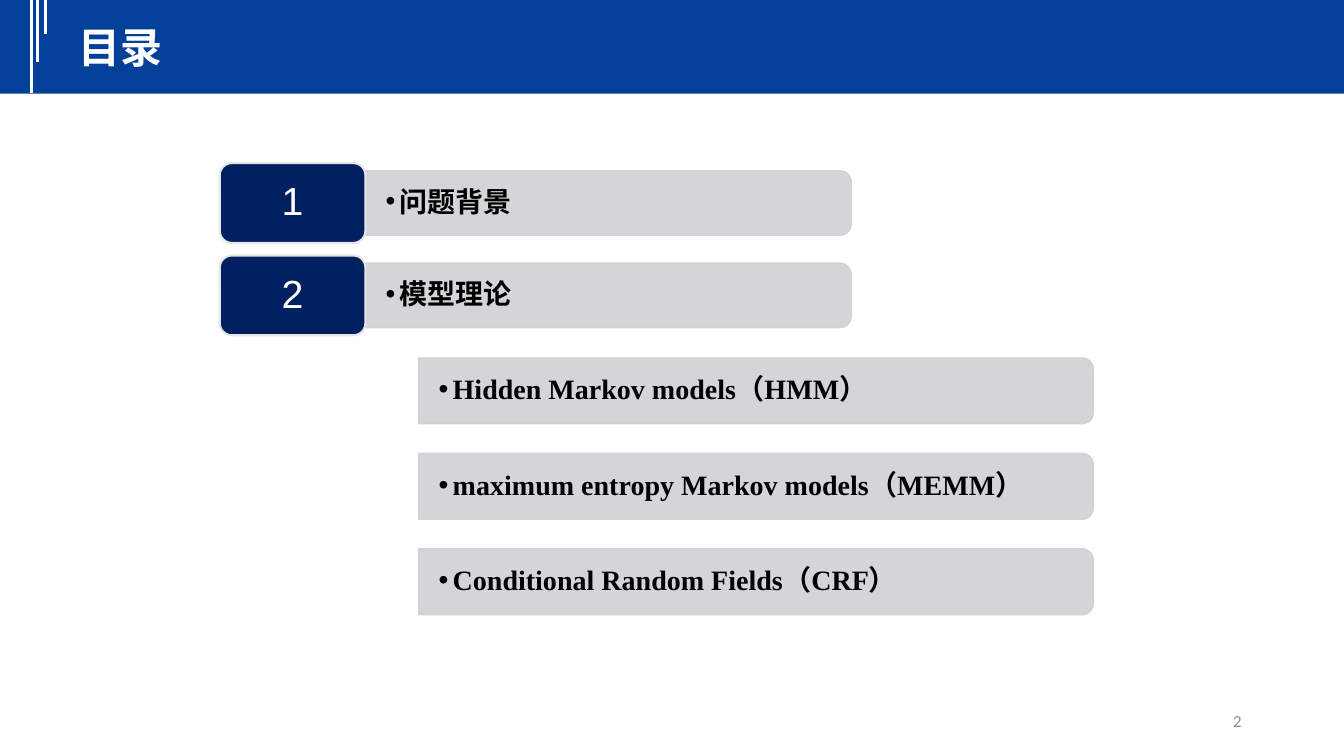
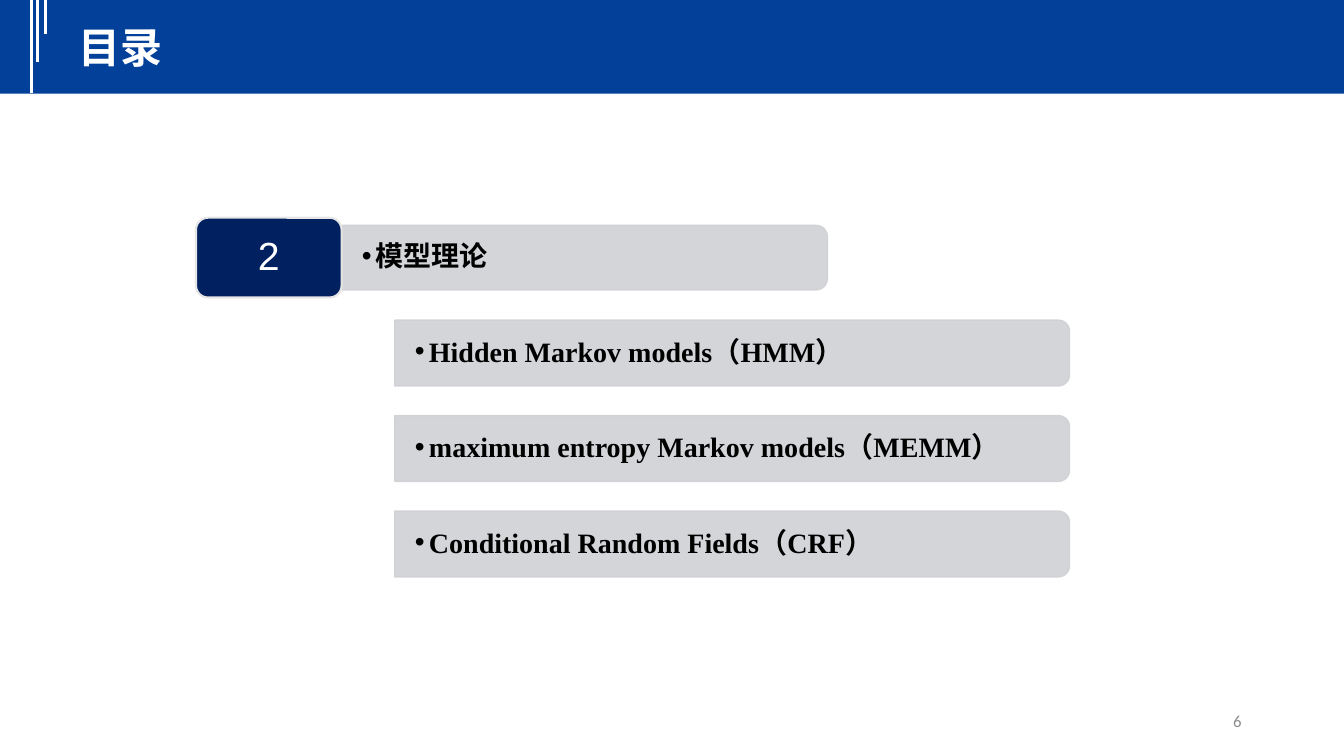
from math import cos, pi, sin

from lxml.etree import SubElement
from pptx import Presentation
from pptx.dml.color import RGBColor
from pptx.enum.shapes import MSO_CONNECTOR, MSO_SHAPE
from pptx.enum.text import MSO_ANCHOR, MSO_AUTO_SIZE, PP_ALIGN
from pptx.oxml.ns import qn
from pptx.util import Pt

BLUE, NAVY, GREY, PALE = "02409A", "002060", "CFD1D4", "E7E6E6"
WHITE, BLACK, PAGE_GREY = "FFFFFF", "000000", "8C8C8C"
CHINESE = "Noto Sans CJK SC"
ROW_PITCH = 68.2
HEADING_PITCH = 66
BADGE_WIDTH = 104
MODEL_INDENT = 142
MODELS = (
    "Hidden Markov models（HMM）",
    "maximum entropy Markov models（MEMM）",
    "Conditional Random Fields（CRF）",
)


def color(hex_value):
    return RGBColor.from_string(hex_value)


def set_attributes(target, values):
    for name, value in values.items():
        setattr(target, name, value)


def set_opacity(fill_parent, percent):
    """Make the solid fill below the given XML element partly transparent."""
    hue = fill_parent.find(qn("a:solidFill"))[0]
    SubElement(hue, qn("a:alpha"), val=str(percent * 1000))


def add_bullet(paragraph, indent):
    properties = paragraph._p.get_or_add_pPr()
    properties.set("marL", str(Pt(indent)))
    properties.set("indent", str(-Pt(indent)))
    SubElement(properties, qn("a:buFont"), typeface="Arial")
    SubElement(properties, qn("a:buChar"), char="•")


class Deck:
    """Agenda style together with the slide being built."""

    def __init__(self):
        self.presentation = Presentation()
        set_attributes(self.presentation, {"slide_width": Pt(960), "slide_height": Pt(540)})
        self.slide = None

    def start_slide(self, title, number):
        self.slide = self.presentation.slides.add_slide(self.presentation.slide_layouts[6])
        self.box(MSO_SHAPE.RECTANGLE, 0, 0, 960, 67, BLUE)
        for x, length in ((22.5, 66.5), (27, 44), (32.5, 24)):
            self.stripe(x, length)
        title_box = self.slide.shapes.add_textbox(Pt(49), Pt(11.5), Pt(153), Pt(44))
        self.set_text(title_box, title, 30, CHINESE, WHITE, bold=True,
                      frame={"auto_size": MSO_AUTO_SIZE.SHAPE_TO_FIT_TEXT,
                             "vertical_anchor": MSO_ANCHOR.TOP})
        number_box = self.slide.shapes.add_textbox(Pt(678), Pt(500.4), Pt(216), Pt(28.8))
        self.set_text(number_box, number, 12, "Calibri", PAGE_GREY, align=PP_ALIGN.RIGHT)

    def paint(self, shape, fill, line=None, line_width=1):
        shape.shadow.inherit = False
        shape.fill.solid()
        shape.fill.fore_color.rgb = color(fill)
        if line:
            shape.line.color.rgb = color(line)
            shape.line.width = Pt(line_width)
        else:
            shape.line.fill.background()

    def box(self, kind, left, top, width, height, fill, line=None, line_width=1):
        shape = self.slide.shapes.add_shape(kind, Pt(left), Pt(top), Pt(width), Pt(height))
        self.paint(shape, fill, line, line_width)
        return shape

    def stripe(self, x, length):
        line = self.slide.shapes.add_connector(
            MSO_CONNECTOR.STRAIGHT, Pt(x), Pt(0), Pt(x), Pt(length))
        line.line.color.rgb = color(WHITE)
        line.line.width = Pt(2.25)
        SubElement(line._element.spPr, qn("a:effectLst"))

    def set_text(self, shape, text, size, font, fill, bold=False, align=PP_ALIGN.LEFT,
                 spacing=None, bullet_indent=None, frame=None):
        text_frame = shape.text_frame
        set_attributes(text_frame, {"word_wrap": True, "vertical_anchor": MSO_ANCHOR.MIDDLE,
                                    **(frame or {})})
        paragraph = text_frame.paragraphs[0]
        if bullet_indent:
            add_bullet(paragraph, bullet_indent)
        set_attributes(paragraph, {"alignment": align, "line_spacing": spacing})
        run = paragraph.add_run()
        run.text = text
        set_attributes(run.font, {"size": Pt(size), "name": font, "bold": bold})
        run.font.color.rgb = color(fill)
        SubElement(run._r.get_or_add_rPr(), qn("a:ea"), typeface=CHINESE)

    def bar(self, text, left, middle, width, height, font, radius=8):
        """Bulleted bar, square on the left and rounded on the right."""
        top, bottom = middle - height / 2, middle + height / 2
        center_x = left + width - radius
        points = [(left, top)]
        for center_y, start in ((top + radius, -pi / 2), (bottom - radius, 0)):
            angles = [start + step * pi / 16 for step in range(9)]
            points += [(center_x + radius * cos(angle), center_y + radius * sin(angle))
                       for angle in angles]
        points.append((left, bottom))
        corners = [(Pt(x), Pt(y)) for x, y in points]
        builder = self.slide.shapes.build_freeform(*corners[0])
        builder.add_line_segments(corners[1:], close=True)
        shape = builder.convert_to_shape()
        self.paint(shape, GREY, GREY)
        properties = shape._element.spPr
        for fill_parent in (properties, properties.find(qn("a:ln"))):
            set_opacity(fill_parent, 90)
        self.set_text(shape, text, 20, font, BLACK, bold=True, spacing=0.9, bullet_indent=10,
                      frame={"margin_left": Pt(14.4), "margin_right": Pt(16.5),
                             "margin_top": Pt(9.4), "margin_bottom": Pt(9.4)})

    def heading(self, number, text, left, middle):
        self.bar(text, left + BADGE_WIDTH, middle, 347, 46, CHINESE)
        height = 57
        badge = self.box(MSO_SHAPE.ROUNDED_RECTANGLE, left, middle - height / 2,
                         BADGE_WIDTH, height, NAVY, PALE, 1.5)
        badge.adjustments[0] = 0.15
        self.set_text(badge, number, 28, "Arial", WHITE, align=PP_ALIGN.CENTER, spacing=0.9)

    def theory_section(self, left, middle):
        self.heading("2", "模型理论", left, middle)
        for row, model in enumerate(MODELS, start=1):
            self.bar(model, left + MODEL_INDENT, middle + row * ROW_PITCH, 482, 47,
                     "Times New Roman")


def main():
    deck = Deck()
    deck.start_slide("目录", "2")
    deck.heading("1", "问题背景", 157, 145)
    deck.theory_section(157, 145 + HEADING_PITCH)
    deck.start_slide("目录", "6")
    deck.theory_section(140, 184)
    deck.presentation.save("out.pptx")


if __name__ == "__main__":
    main()
